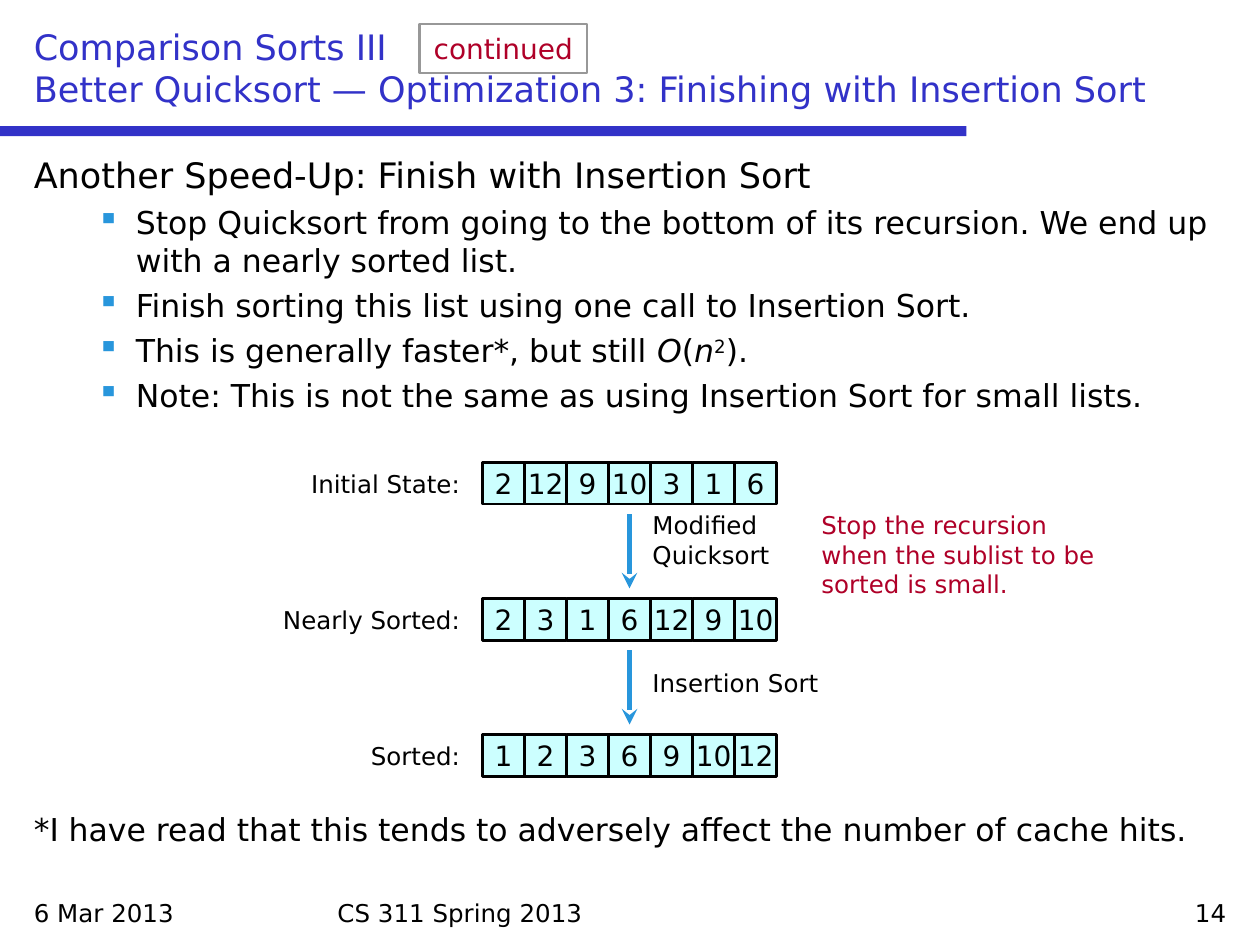
from lxml import etree
from pptx import Presentation
from pptx.dml.color import RGBColor
from pptx.enum.shapes import MSO_CONNECTOR, MSO_SHAPE
from pptx.enum.text import MSO_ANCHOR, PP_ALIGN
from pptx.oxml.ns import qn
from pptx.util import Inches, Pt

LEFT, CENTER, RIGHT = PP_ALIGN.LEFT, PP_ALIGN.CENTER, PP_ALIGN.RIGHT
TOP, MIDDLE, BOTTOM = MSO_ANCHOR.TOP, MSO_ANCHOR.MIDDLE, MSO_ANCHOR.BOTTOM
RECTANGLE, STRAIGHT = MSO_SHAPE.RECTANGLE, MSO_CONNECTOR.STRAIGHT

FONT = "DejaVu Sans"
BLACK = RGBColor(0x00, 0x00, 0x00)
INDIGO = RGBColor(0x32, 0x32, 0xC8)
BLUE = RGBColor(0x28, 0x96, 0xDC)
CRIMSON = RGBColor(0xAF, 0x00, 0x28)
GRAY = RGBColor(0x98, 0x98, 0x98)
PALE_CYAN = RGBColor(0xCC, 0xFF, 0xFF)

CELL = 1 / 3
STEP_HEIGHT = 1.08

BULLETS = [
    ["Stop Quicksort from going to the bottom of its recursion. "
     "We end up with a nearly sorted list."],
    ["Finish sorting this list using one call to Insertion Sort."],
    ["This is generally faster*, but still ", "O", "(", "n", "2", ")."],
    ["Note: This is not the same as using Insertion Sort for small lists."],
]
STATES = [
    ("Initial State:", [2, 12, 9, 10, 3, 1, 6]),
    ("Nearly Sorted:", [2, 3, 1, 6, 12, 9, 10]),
    ("Sorted:", [1, 2, 3, 6, 9, 10, 12]),
]


def style(paragraph, size, color=BLACK, align=LEFT):
    """Set the font and alignment of a whole paragraph."""
    paragraph.font.name = FONT
    paragraph.font.size = Pt(size)
    paragraph.font.color.rgb = color
    paragraph.alignment = align


def add_text(slide, box, text, size, color=BLACK, align=LEFT, anchor=TOP):
    """Add a wrapping text box at box (left, top, width, height)."""
    frame = slide.shapes.add_textbox(*map(Inches, box)).text_frame
    frame.word_wrap = True
    frame.vertical_anchor = anchor
    frame.paragraphs[0].text = text
    style(frame.paragraphs[0], size, color, align)
    return frame


def add_rectangle(slide, box, fill=None, outline=None):
    """Add a flat rectangle with an optional fill and outline."""
    rectangle = slide.shapes.add_shape(RECTANGLE, *map(Inches, box))
    rectangle.shadow.inherit = False
    if fill is None:
        rectangle.fill.background()
    else:
        rectangle.fill.solid()
        rectangle.fill.fore_color.rgb = fill
    if outline is None:
        rectangle.line.fill.background()
    else:
        rectangle.line.color.rgb = outline
        rectangle.line.width = Pt(1.25)
    return rectangle


def add_arrow(slide, x, top, bottom):
    """Add a downward arrow."""
    arrow = slide.shapes.add_connector(
        STRAIGHT, *map(Inches, (x, top, x, bottom)))
    arrow.line.color.rgb = BLUE
    arrow.line.width = Pt(3)
    etree.SubElement(arrow.line._get_or_add_ln(), qn("a:tailEnd"), type="stealth")
    etree.SubElement(arrow._element.spPr, qn("a:effectLst"))


def add_bullet(frame, pieces):
    """Append a bulleted paragraph, setting the mathematics in its runs."""
    paragraph = frame.add_paragraph()
    paragraph.space_before = Pt(4.2)
    properties = paragraph._p.get_or_add_pPr()
    properties.set("marL", str(Inches(0.81)))
    properties.set("indent", str(Inches(-0.31)))
    bullet_color = etree.SubElement(properties, qn("a:buClr"))
    etree.SubElement(bullet_color, qn("a:srgbClr"), val=str(BLUE))
    etree.SubElement(properties, qn("a:buChar"), char="▪")
    style(paragraph, 18)
    for piece in pieces:
        run = paragraph.add_run()
        run.text = piece
        if piece in ("O", "n"):
            run.font.italic = True
        elif piece == "2":
            run.font._element.set("baseline", "30000")


def add_header(slide, left, top, width):
    """Add the title, its tag and the rule below."""
    add_rectangle(slide, (0, top + 0.83, 7.67, 0.08), INDIGO)
    add_text(slide, (left, top, width, 0.75),
             "Comparison Sorts III\vBetter Quicksort — Optimization 3: "
             "Finishing with Insertion Sort", 20, INDIGO, anchor=BOTTOM)
    tag = add_rectangle(slide, (left + 3.16, top + 0.02, 1.33, 0.39), outline=GRAY)
    tag.text_frame.word_wrap = False
    tag.text_frame.text = "continued"
    style(tag.text_frame.paragraphs[0], 16, CRIMSON, CENTER)


def add_body(slide, left, top, width):
    """Add the heading, its bullets and the footnote."""
    frame = add_text(slide, (left, top, width, 2.2),
                     "Another Speed-Up: Finish with Insertion Sort", 20)
    for pieces in BULLETS:
        add_bullet(frame, pieces)
    add_text(slide, (left, top + 5.21, width, 0.4),
             "*I have read that this tends to adversely affect "
             "the number of cache hits.", 18)


def add_state(slide, left, top, label, values):
    """Add one labelled array whose first cell starts at left, top."""
    add_text(slide, (left - 2.16, top, 2.08, 0.34), label, 14, align=RIGHT)
    for index, value in enumerate(values):
        cell = add_rectangle(slide, (left + index * CELL, top, CELL, CELL),
                             PALE_CYAN, BLACK)
        frame = cell.text_frame
        frame.word_wrap = False
        frame.vertical_anchor = MIDDLE
        frame.text = str(value)
        style(frame.paragraphs[0], 16, align=CENTER)


def add_diagram(slide, left, top):
    """Add the three array states and the steps between them."""
    for index, (label, values) in enumerate(STATES):
        state_top = top + index * STEP_HEIGHT
        add_state(slide, left, state_top, label, values)
        if index < len(STATES) - 1:
            add_arrow(slide, left + 3.5 * CELL, state_top + 0.41, state_top + 1)
    add_text(slide, (left + 1.25, top + 0.33, 2.08, 0.58), "Modified\vQuicksort", 14)
    add_text(slide, (left + 1.25, top + 1.58, 2.08, 0.34), "Insertion Sort", 14)
    add_text(slide, (left + 2.59, top + 0.33, 2.42, 0.81),
             "Stop the recursion when the sublist to be sorted is small.",
             14, CRIMSON)


def add_footer(slide, left, top):
    """Add the date, course and slide number."""
    add_text(slide, (left, top, 2.33, 0.33), "6 Mar 2013", 14)
    add_text(slide, (left + 2.41, top, 4.83, 0.33), "CS 311 Spring 2013", 14)
    add_text(slide, (left + 7.33, top, 2.33, 0.33), "14", 14, align=RIGHT)


presentation = Presentation()
presentation.slide_width = Inches(10)
presentation.slide_height = Inches(7.5)
slide = presentation.slides.add_slide(presentation.slide_layouts[6])
add_header(slide, 0.17, 0.17, 9.67)
add_body(slide, 0.17, 1.17, 9.67)
add_diagram(slide, 3.83, 3.67)
add_footer(slide, 0.17, 7.08)
presentation.save("out.pptx")
